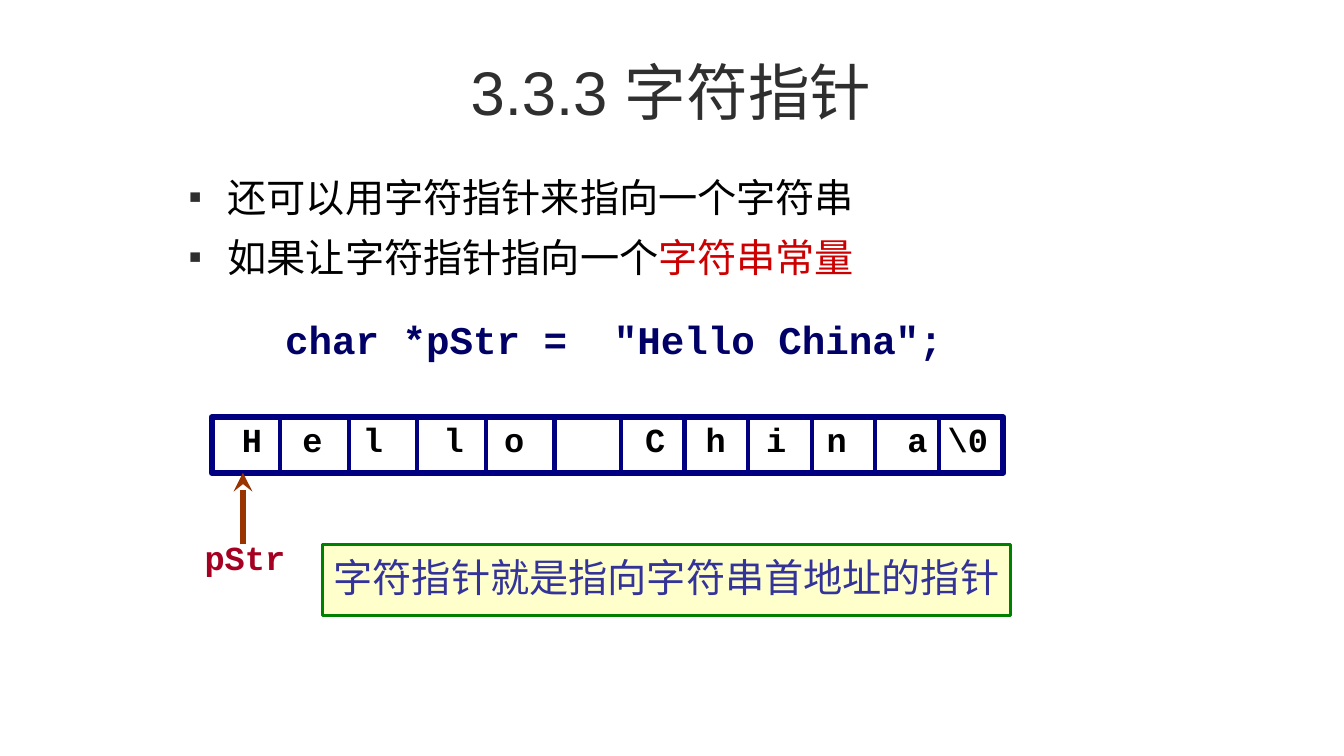
import pptx
import pptx.dml.color
import pptx.enum.shapes
import pptx.enum.text
import pptx.oxml
import pptx.oxml.ns
import pptx.util
from pptx.util import Inches

COLORS = {
    "title": "2F2F2F",
    "body": "000000",
    "emphasis": "CC0000",
    "code": "000066",
    "memory": "000080",
    "arrow": "993300",
    "pointer": "A50021",
    "note_fill": "FFFFCC",
    "note_line": "008000",
    "note_text": "333399",
}
ALIGN = pptx.enum.text.PP_ALIGN
ANCHOR = pptx.enum.text.MSO_ANCHOR
MEMORY_TOP, MEMORY_HEIGHT = 4.14, 0.55
DIVIDERS = [2.1 + 0.68 * i for i in range(1, 6)] + [6.16 + 0.63 * i for i in range(6)]
CHARACTERS = ["H", "e", "l", "l", "o", "C", "h", "i", "n", "a", "\\0"]
CHARACTER_STOPS = [0.2, 0.8, 1.4, 2.2, 2.8, 4.2, 4.8, 5.4, 6, 6.8, 7.2]


def rgb(name):
    """Return the named colour."""
    return pptx.dml.color.RGBColor.from_string(COLORS[name])


def add_xml(parent, xml):
    """Append a DrawingML fragment to an element."""
    namespace = pptx.oxml.ns.nsdecls("a")
    parent.append(pptx.oxml.parse_xml(xml.replace(">", f" {namespace}>", 1)
                                      if "/>" not in xml.split(">")[0] + ">"
                                      else xml.replace("/>", f" {namespace}/>", 1)))


def set_font(font, name, size, color, bold=False):
    """Set the look of a font."""
    font.name, font.size, font.bold = name, pptx.util.Pt(size), bold
    font.color.rgb = rgb(color)


def add_frame(slide, left, top, width, height):
    """Add a wrapping text box and return its text frame."""
    frame = slide.shapes.add_textbox(
        Inches(left), Inches(top), Inches(width), Inches(height)).text_frame
    frame.word_wrap = True
    return frame


def add_code(slide, text, left, top, width, size, color, stops=()):
    """Add one line of bold monospaced text, with optional tab stops."""
    frame = add_frame(slide, left, top, width, 0.5)
    if stops:
        frame.margin_left = 0
    paragraph = frame.paragraphs[0]
    paragraph.text = text
    paragraph.line_spacing = 0.9
    if stops:
        tabs = "".join(f'<a:tab pos="{Inches(stop)}" algn="l"/>' for stop in stops)
        add_xml(paragraph._p.get_or_add_pPr(), f"<a:tabLst>{tabs}</a:tabLst>")
    set_font(paragraph.font, "Courier New", size, color, True)


def add_title(slide, text):
    """Add the centred slide title."""
    frame = add_frame(slide, 1.78, 0.28, 9.75, 1.25)
    frame.vertical_anchor = ANCHOR.MIDDLE
    paragraph = frame.paragraphs[0]
    paragraph.text = text
    paragraph.alignment = ALIGN.CENTER
    set_font(paragraph.font, "Arial", 44, "title")


def add_bullets(slide, items):
    """Add bulleted paragraphs, each a list of text and colour pairs."""
    frame = add_frame(slide, 1.78, 1.62, 8.59, 1.18)
    for index, runs in enumerate(items):
        paragraph = frame.add_paragraph() if index else frame.paragraphs[0]
        paragraph.line_spacing = 1.1
        if index:
            paragraph.space_before = pptx.util.Pt(6)
        properties = paragraph._p.get_or_add_pPr()
        properties.set("marL", str(Inches(0.38)))
        properties.set("indent", str(-Inches(0.38)))
        add_xml(properties, f'<a:buClr><a:srgbClr val="{COLORS["title"]}"/></a:buClr>')
        add_xml(properties, '<a:buSzPct val="50000"/>')
        add_xml(properties, '<a:buFont typeface="Arial"/>')
        add_xml(properties, '<a:buChar char="■"/>')
        for text, color in runs:
            run = paragraph.add_run()
            run.text = text
            set_font(run.font, "Times New Roman", 28, color)


def add_box(slide, left, top, width, height, line, weight, fill=None):
    """Add an outlined rectangle, filled if a colour is given."""
    shape = slide.shapes.add_shape(
        pptx.enum.shapes.MSO_SHAPE.RECTANGLE,
        Inches(left), Inches(top), Inches(width), Inches(height))
    shape.shadow.inherit = False
    shape.line.color.rgb = rgb(line)
    shape.line.width = pptx.util.Pt(weight)
    if fill:
        shape.fill.solid()
        shape.fill.fore_color.rgb = rgb(fill)
    else:
        shape.fill.background()
    return shape


def add_line(slide, x, start, end, color, weight, arrow=False):
    """Add a vertical line, with an arrowhead at its end if wanted."""
    line = slide.shapes.add_connector(
        pptx.enum.shapes.MSO_CONNECTOR.STRAIGHT,
        Inches(x), Inches(start), Inches(x), Inches(end))
    line.line.color.rgb = rgb(color)
    line.line.width = pptx.util.Pt(weight)
    if arrow:
        add_xml(line.line._get_or_add_ln(), '<a:tailEnd type="stealth"/>')
    add_xml(line._element.spPr, "<a:effectLst/>")


def add_memory(slide):
    """Add the row of memory cells and the characters in it."""
    bottom = MEMORY_TOP + MEMORY_HEIGHT
    add_box(slide, 2.1, MEMORY_TOP, 7.85, MEMORY_HEIGHT, "memory", 4.5)
    for x in DIVIDERS:
        add_line(slide, x, MEMORY_TOP, bottom, "memory", 3)
    add_code(slide, "\t" + "\t".join(CHARACTERS), 2.2, 4.15, 7.9, 24, "body",
             CHARACTER_STOPS)
    add_line(slide, 2.41, 5.4, bottom, "arrow", 4.5, arrow=True)
    add_code(slide, "pStr", 1.93, 5.32, 1.11, 24, "pointer")


def add_note(slide, text):
    """Add the framed conclusion."""
    shape = add_box(slide, 3.2, 5.4, 6.82, 0.71, "note_line", 2.25, "note_fill")
    frame = shape.text_frame
    frame.word_wrap = False
    frame.vertical_anchor = ANCHOR.MIDDLE
    paragraph = frame.paragraphs[0]
    paragraph.text = text
    paragraph.alignment = ALIGN.CENTER
    paragraph.line_spacing = 0.9
    set_font(paragraph.font, "Noto Sans CJK SC", 28, "note_text")


def main():
    """Build and save the slide."""
    presentation = pptx.Presentation()
    presentation.slide_width = Inches(13.33)
    presentation.slide_height = Inches(7.5)
    slide = presentation.slides.add_slide(presentation.slide_layouts[6])
    add_title(slide, "3.3.3 字符指针")
    add_bullets(slide, [
        [("还可以用字符指针来指向一个字符串", "body")],
        [("如果让字符指针指向一个", "body"), ("字符串常量", "emphasis")],
    ])
    add_code(slide, "char *pStr =", 2.73, 3.13, 3.35, 28, "code")
    add_code(slide, '"Hello China";', 5.99, 3.13, 3.98, 28, "code")
    add_memory(slide)
    add_note(slide, "字符指针就是指向字符串首地址的指针")
    presentation.save("out.pptx")


if __name__ == "__main__":
    main()
